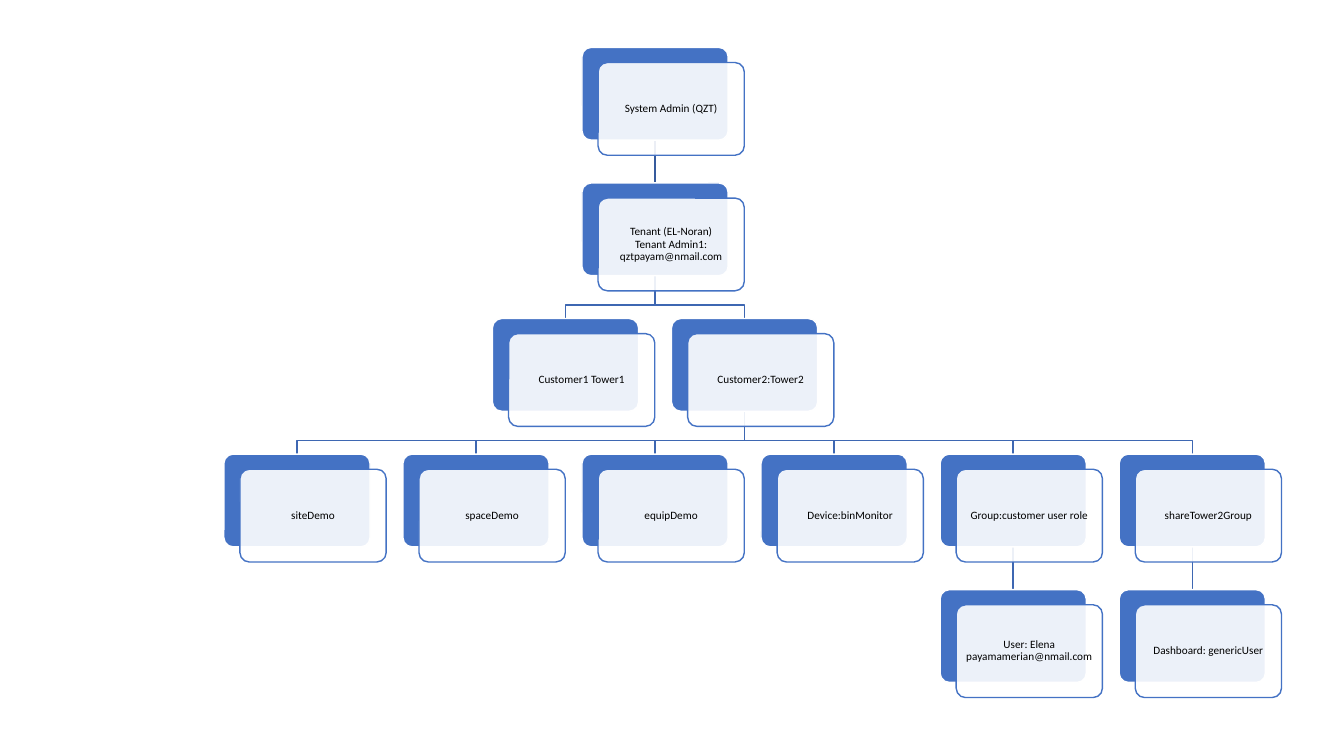
"""Build a slide with an organisation chart of tenants, customers and users."""
from collections.abc import Iterator
from dataclasses import dataclass

from lxml.etree import SubElement
from pptx import Presentation
from pptx.dml.color import RGBColor
from pptx.enum.shapes import MSO_CONNECTOR, MSO_SHAPE
from pptx.enum.text import MSO_ANCHOR, PP_ALIGN
from pptx.oxml.ns import qn
from pptx.shapes.autoshape import Shape
from pptx.slide import Slide
from pptx.util import Inches, Pt

BLUE, WHITE, BLACK = "4472C4", "FFFFFF", "000000"
TOP_LINK, LINK = "365B9D", "3E67B2"
CARD_WIDTH, CARD_HEIGHT = Inches(1.45), Inches(0.92)
FRONT_RIGHT, FRONT_DOWN = Inches(0.16), Inches(0.15)
BEND = Inches(0.29)
FIRST_LEFT, LAST_LEFT = Inches(2.22), Inches(11.1)
FIRST_TOP, LAST_TOP = Inches(0.47), Inches(5.85)
COLUMN_STEP = (LAST_LEFT - FIRST_LEFT) / 5
LEVEL_STEP = (LAST_TOP - FIRST_TOP) / 4


@dataclass(frozen=True)
class Node:
    text: str
    column: float
    level: int
    children: tuple["Node", ...] = ()

    @property
    def left(self) -> int:
        return round(FIRST_LEFT + self.column * COLUMN_STEP)

    @property
    def top(self) -> int:
        return round(FIRST_TOP + self.level * LEVEL_STEP)

    @property
    def center(self) -> int:
        return self.left + CARD_WIDTH // 2

    @property
    def bottom(self) -> int:
        return self.top + CARD_HEIGHT

    def walk(self) -> Iterator["Node"]:
        yield self
        for child in self.children:
            yield from child.walk()


USER = Node("User: Elena\vpayamamerian@nmail.com", 4, 4)
DASHBOARD = Node("Dashboard: genericUser", 5, 4)
TOWER2 = Node("Customer2:Tower2", 2.5, 2, (
    Node("siteDemo", 0, 3),
    Node("spaceDemo", 1, 3),
    Node("equipDemo", 2, 3),
    Node("Device:binMonitor", 3, 3),
    Node("Group:customer user role", 4, 3, (USER,)),
    Node("shareTower2Group", 5, 3, (DASHBOARD,)),
))
TENANT = Node("Tenant (EL-Noran)\vTenant Admin1: qztpayam@nmail.com", 2, 1,
              (Node("Customer1 Tower1", 1.5, 2), TOWER2))
SYSTEM_ADMIN = Node("System Admin (QZT)", 2, 0, (TENANT,))


def color(value: str) -> RGBColor:
    return RGBColor.from_string(value)


def draw_link(page: Slide, parent: Node, child: Node) -> None:
    if parent.center == child.center:
        link = page.shapes.add_connector(
            MSO_CONNECTOR.STRAIGHT, parent.center, parent.bottom, child.center, child.top)
        SubElement(link._element.spPr, qn("a:effectLst"))
    else:
        bend = parent.bottom + BEND
        outline = page.shapes.build_freeform(parent.center, parent.bottom)
        outline.add_line_segments(
            [(parent.center, bend), (child.center, bend), (child.center, child.top)], close=False)
        link = outline.convert_to_shape()
        link.fill.background()
        link.shadow.inherit = False
    link.line.color.rgb = color(TOP_LINK if parent.level == 0 else LINK)
    link.line.width = Pt(1)


def draw_card(page: Slide, left: int, top: int, fill: str, line: str) -> Shape:
    card = page.shapes.add_shape(
        MSO_SHAPE.ROUNDED_RECTANGLE, left, top, CARD_WIDTH, CARD_HEIGHT)
    card.adjustments[0] = 0.1
    card.shadow.inherit = False
    card.fill.solid()
    card.fill.fore_color.rgb = color(fill)
    card.line.color.rgb = color(line)
    card.line.width = Pt(1)
    return card


def draw_node(page: Slide, node: Node) -> None:
    draw_card(page, node.left, node.top, BLUE, WHITE)
    front = draw_card(page, node.left + FRONT_RIGHT, node.top + FRONT_DOWN, WHITE, BLUE)
    fill_color = front._element.spPr.find(qn("a:solidFill")).find(qn("a:srgbClr"))
    SubElement(fill_color, qn("a:alpha")).set("val", "90000")
    frame = front.text_frame
    frame.word_wrap = True
    frame.vertical_anchor = MSO_ANCHOR.MIDDLE
    frame.margin_left = frame.margin_right = Inches(0.03)
    frame.margin_top = frame.margin_bottom = Inches(0.03)
    para = frame.paragraphs[0]
    para.text = node.text
    para.alignment = PP_ALIGN.CENTER
    para.line_spacing = 0.9
    para.font.name = "Calibri"
    para.font.size = Pt(8)
    para.font.color.rgb = color(BLACK)


def main() -> None:
    deck = Presentation()
    deck.slide_width, deck.slide_height = Inches(13.33), Inches(7.5)
    page = deck.slides.add_slide(deck.slide_layouts[6])
    nodes = list(SYSTEM_ADMIN.walk())
    for parent in nodes:
        for child in parent.children:
            draw_link(page, parent, child)
    for node in nodes:
        draw_node(page, node)
    deck.save("out.pptx")


main()
